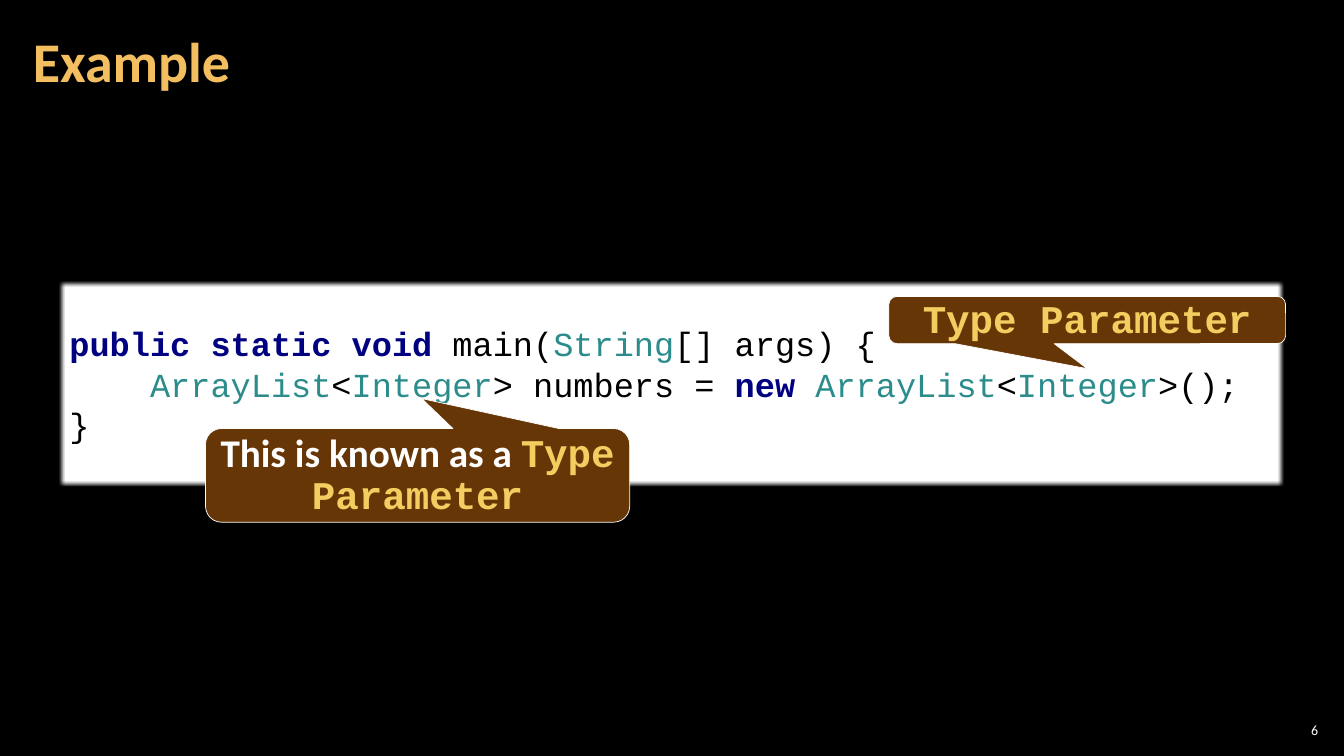
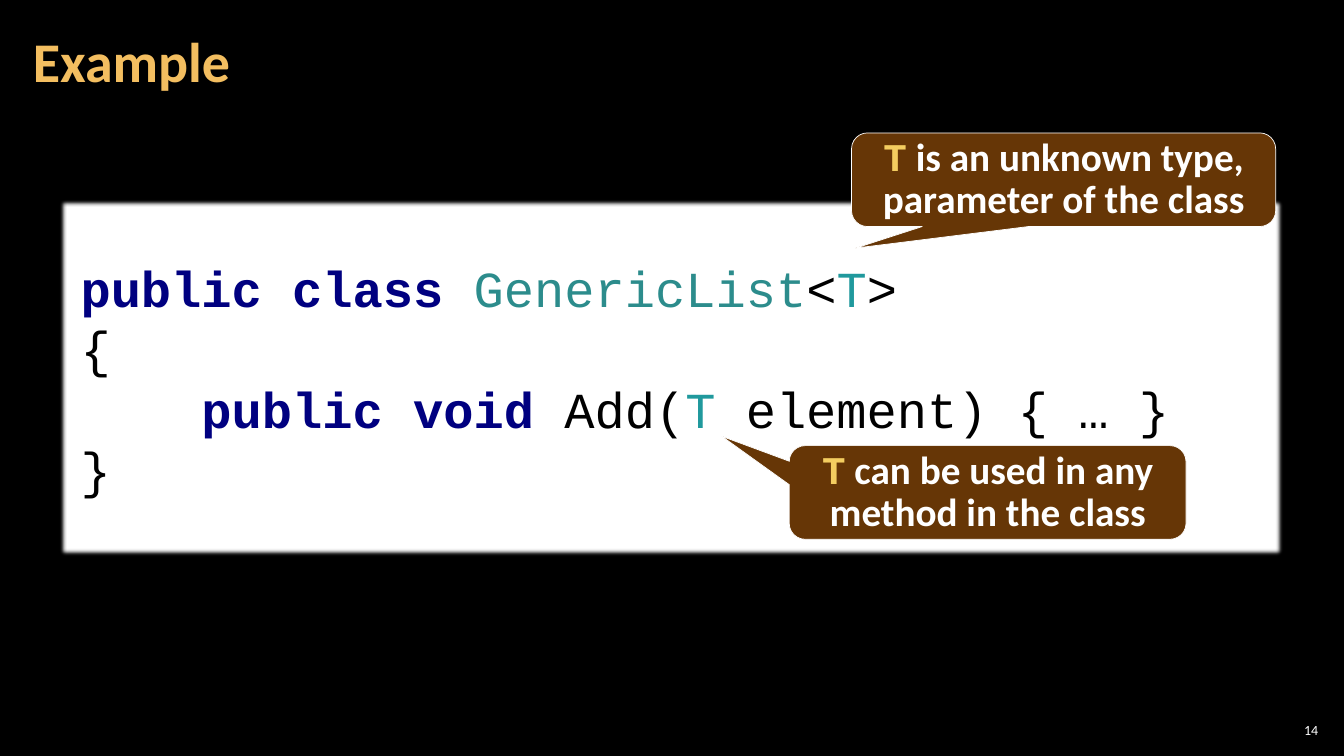
from lxml.etree import SubElement
from pptx import Presentation
from pptx.dml.color import RGBColor
from pptx.enum.shapes import MSO_SHAPE
from pptx.enum.text import MSO_ANCHOR, PP_ALIGN
from pptx.oxml.ns import qn
from pptx.util import Cm, Pt

# Theme: colours, and text styles as (font, bold, colour)
THEME = {
    "background": "000000",
    "panel": "FFFFFF",
    "callout": "663606",
    "outline": "FFFFFF",
    "sizes": {"title": 40, "number": 10, "callout": 28},
    "styles": {
        "title": ("Calibri", True, "F3BE60"),
        "number": ("Calibri", False, "FFFFFF"),
        "keyword": ("Courier New", True, "000080"),
        "type": ("Courier New", False, "2C8C8C"),
        "parameter": ("Courier New", False, "20999D"),
        "code": ("Courier New", False, "000000"),
        "label": ("Calibri", True, "FFFFFF"),
        "term": ("Courier New", True, "F3CD60"),
    },
}
FRAMES = {
    "title": {"margin_left": Cm(0.3), "margin_right": Cm(0.3),
              "margin_top": Cm(0.1), "margin_bottom": Cm(0.1)},
    "number": {"margin_left": Cm(0.1), "margin_right": Cm(0.1),
               "margin_top": Cm(0.1), "margin_bottom": Cm(0.1)},
    "code": {},
    "callout": {"margin_left": Cm(0.2), "margin_right": Cm(0.2),
                "margin_top": 0, "margin_bottom": 0},
}
PARAGRAPHS = {
    "title": {"alignment": PP_ALIGN.LEFT, "line_spacing": 0.9},
    "number": {"alignment": PP_ALIGN.RIGHT},
    "code": {"alignment": PP_ALIGN.LEFT},
    "callout": {"alignment": PP_ALIGN.CENTER, "line_spacing": Pt(30)},
}

# Content: each line is a list of (text, style) spans
SLIDES = [
    {
        "number": "6", "top": 7.09, "height": 5.16, "code_size": 24, "inset": 0.25,
        "code": [
            [("public static void ", "keyword"), ("main(", "code"),
             ("String", "type"), ("[] args) {", "code")],
            [("    ", "code"), ("ArrayList", "type"), ("<", "code"),
             ("Integer", "type"), ("> numbers = ", "code"), ("new ", "keyword"),
             ("ArrayList", "type"), ("<", "code"), ("Integer", "type"),
             (">();", "code")],
            [("}", "code")],
        ],
        "callouts": [
            {"at": (5.18, 10.8, 10.69, 2.36), "pointer": (0.01, -0.82),
             "line": [("This is known as a ", "label"), ("Type Parameter", "term")]},
            {"at": (22.4, 7.47, 10, 1.19), "pointer": (0, 1.03),
             "line": [("Type Parameter", "term")]},
        ],
    },
    {
        "number": "14", "top": 5.03, "height": 8.99, "code_size": 36, "inset": 0.53,
        "code": [
            [("public class ", "keyword"), ("GenericList", "type"), ("<", "code"),
             ("T", "parameter"), (">", "code")],
            [("{", "code")],
            [("    ", "code"), ("public void ", "keyword"), ("Add(", "code"),
             ("T ", "parameter"), ("element) { … }", "code")],
            [("}", "code")],
        ],
        "callouts": [
            {"at": (21.46, 3.35, 10.69, 2.36), "pointer": (-0.49, 0.73),
             "line": [("T", "term"),
                      (" is an unknown type, parameter of the class", "label")]},
            {"at": (19.89, 11.23, 10, 2.36), "pointer": (-0.67, -0.6),
             "line": [("T", "term"),
                      (" can be used in any method in the class", "label")]},
        ],
    },
]


def write(box, role, lines, size):
    """Fill a box with styled lines, one paragraph per line."""
    frame = box.text_frame
    frame.word_wrap = True
    frame.vertical_anchor = MSO_ANCHOR.MIDDLE
    for name, value in FRAMES[role].items():
        setattr(frame, name, value)
    for index, line in enumerate(lines):
        para = frame.add_paragraph() if index else frame.paragraphs[0]
        for name, value in PARAGRAPHS[role].items():
            setattr(para, name, value)
        for text, style in line:
            span = para.add_run()
            span.text = text
            font, bold, colour = THEME["styles"][style]
            for name, value in {"name": font, "bold": bold, "size": Pt(size)}.items():
                setattr(span.font, name, value)
            span.font.color.rgb = RGBColor.from_string(colour)


def add_block(page, preset, at, colour):
    """Add a flat filled shape without an outline."""
    block = page.shapes.add_shape(preset, *map(Cm, at))
    block.shadow.inherit = False
    block.fill.solid()
    block.fill.fore_color.rgb = RGBColor.from_string(colour)
    block.line.fill.background()
    return block


deck = Presentation()
deck.slide_width, deck.slide_height = Cm(33.87), Cm(19.05)
sizes = THEME["sizes"]

for content in SLIDES:
    page = deck.slides.add_slide(deck.slide_layouts[6])
    page.background.fill.solid()
    page.background.fill.fore_color.rgb = RGBColor.from_string(THEME["background"])

    # Slide number and title
    for role, text, at in (
        ("number", content["number"], (32.13, 18.14, 1.19, 0.53)),
        ("title", "Example", (0.53, 0.1, 26.6, 3.07)),
    ):
        box = page.shapes.add_textbox(*map(Cm, at))
        write(box, role, [[(text, role)]], sizes[role])

    # Code panel with soft edges
    panel = add_block(page, MSO_SHAPE.RECTANGLE,
                      (1.5, content["top"], 30.84, content["height"]), THEME["panel"])
    effects = panel.element.spPr.find(qn("a:effectLst"))
    SubElement(effects, qn("a:softEdge"), rad=str(Pt(2.5)))
    write(panel, "code", content["code"], content["code_size"])
    panel.text_frame.margin_left = Cm(content["inset"])

    # Callouts
    for callout in content["callouts"]:
        bubble = add_block(page, MSO_SHAPE.ROUNDED_RECTANGULAR_CALLOUT,
                           callout["at"], THEME["callout"])
        bubble.line.color.rgb = RGBColor.from_string(THEME["outline"])
        bubble.line.width = Pt(0.5)
        for index, value in enumerate((*callout["pointer"], 0.17)):
            bubble.adjustments[index] = value
        write(bubble, "callout", [callout["line"]], sizes["callout"])

deck.save("out.pptx")
